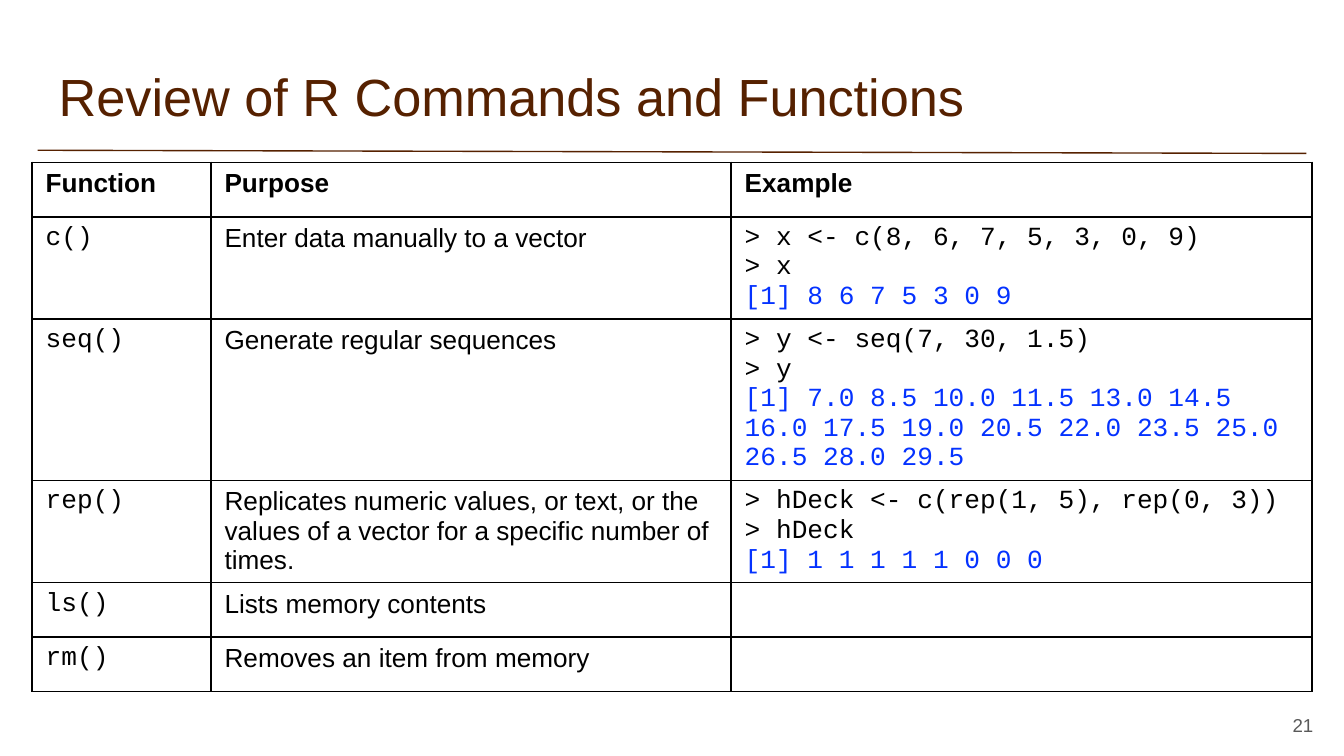
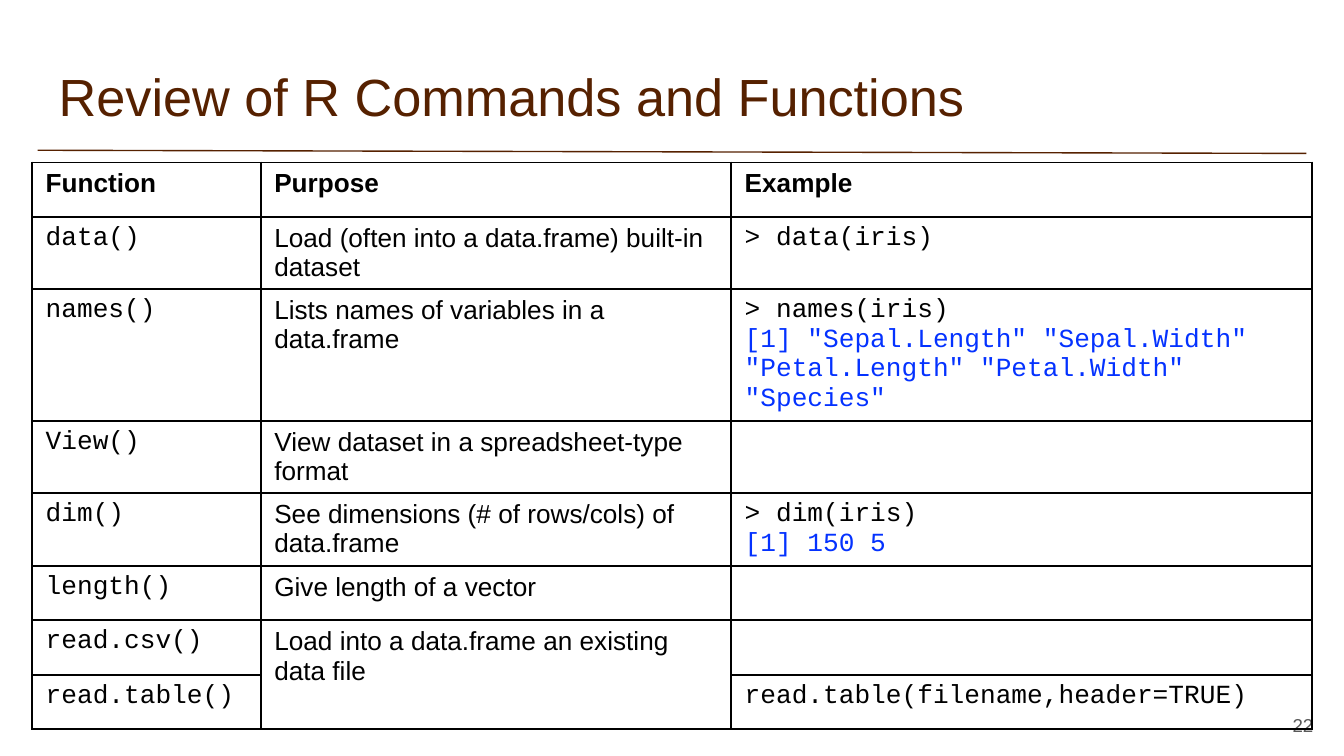
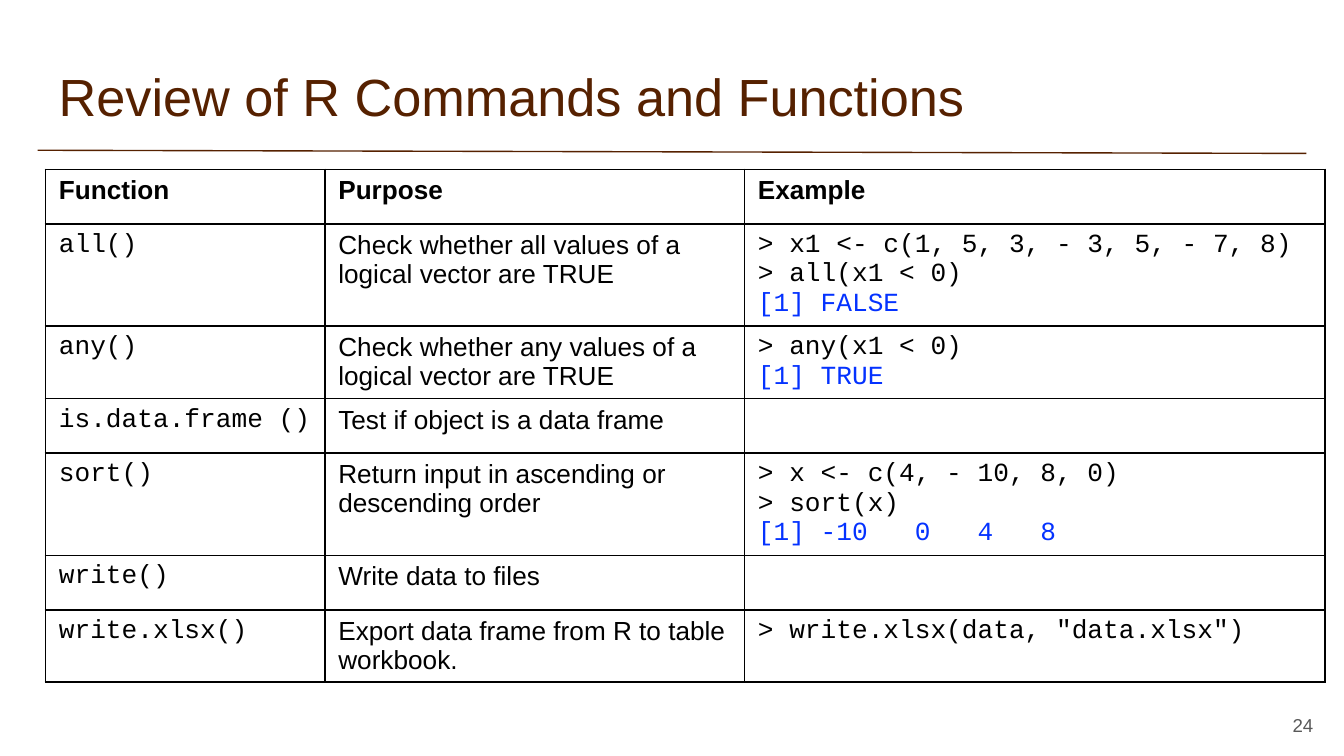
"""Build three slides that review R commands and functions in tables."""
from lxml import etree
from pptx import Presentation
from pptx import util as u
from pptx.dml import color
from pptx.enum import shapes, text
from pptx.oxml import ns

BROWN, GREY, BLACK, BLUE = "562100", "595959", "000000", "0432FF"
SANS, MONO = "Arial", "Courier New"
TITLE = "Review of R Commands and Functions"
HEADER = ("Function", "Purpose", "Example")
FUNCTION_AND_PURPOSE, EXAMPLE = 13.21, 10.97
ROW = 1.03
BORDER = ('<a:{} xmlns:a="{}" w="12700"><a:solidFill><a:srgbClr val="{}"/>'
          '</a:solidFill></a:{}>')

SLIDES = [
    dict(number="21", left=0.61, top=3.07, function_width=3.38, merge=None, rows=[
        ("c()", "Enter data manually to a vector",
         "> x <- c(8, 6, 7, 5, 3, 0, 9)\n> x\n[1] 8 6 7 5 3 0 9"),
        ("seq()", "Generate regular sequences",
         "> y <- seq(7, 30, 1.5)\n> y\n[1] 7.0 8.5 10.0 11.5 13.0 14.5 16.0 17.5 "
         "19.0 20.5 22.0 23.5 25.0 26.5 28.0 29.5"),
        ("rep()", "Replicates numeric values, or text, or the values of a vector "
                  "for a specific number of times.",
         "> hDeck <- c(rep(1, 5), rep(0, 3))\n> hDeck\n[1] 1 1 1 1 1 0 0 0"),
        ("ls()", "Lists memory contents", ""),
        ("rm()", "Removes an item from memory", ""),
    ]),
    dict(number="22", left=0.61, top=3.07, function_width=4.32, merge=(6, 7), rows=[
        ("data()", "Load (often into a data.frame) built-in dataset", "> data(iris)"),
        ("names()", "Lists names of variables in a data.frame",
         '> names(iris)\n[1] "Sepal.Length" "Sepal.Width" "Petal.Length" '
         '"Petal.Width" "Species"'),
        ("View()", "View dataset in a spreadsheet-type format", ""),
        ("dim()", "See dimensions (# of rows/cols) of data.frame",
         "> dim(iris)\n[1] 150 5"),
        ("length()", "Give length of a vector", ""),
        ("read.csv()", "Load into a data.frame an existing data file", ""),
        ("read.table()", "", "read.table(filename,header=TRUE)"),
    ]),
    dict(number="24", left=0.86, top=3.2, function_width=5.28, merge=None, rows=[
        ("all()", "Check whether all values of a logical vector are TRUE",
         "> x1 <- c(1, 5, 3, - 3, 5, - 7, 8)\n> all(x1 < 0)\n[1] FALSE"),
        ("any()", "Check whether any values of a logical vector are TRUE",
         "> any(x1 < 0)\n[1] TRUE"),
        ("is.data.frame ()", "Test if object is a data frame", ""),
        ("sort()", "Return input in ascending or descending order",
         "> x <- c(4, - 10, 8, 0)\n> sort(x)\n[1] -10   0   4   8"),
        ("write()", "Write data to files", ""),
        ("write.xlsx()", "Export data frame from R to table workbook.",
         '> write.xlsx(data, "data.xlsx")'),
    ]),
]


def paint(target, hex_color):
    """Give a font or line a solid colour."""
    target.fill.solid()
    target.fill.fore_color.rgb = color.RGBColor.from_string(hex_color)


def write(tf, content, hex_color, align=text.PP_ALIGN.LEFT, **font):
    """Fill a text frame, one paragraph a line, with R output in blue."""
    for i, line in enumerate(content.split("\n")):
        p = tf.add_paragraph() if i else tf.paragraphs[0]
        p.alignment = align
        r = p.add_run()
        r.text = line
        for key, value in font.items():
            setattr(r.font, key, value)
        paint(r.font, BLUE if line.startswith("[1]") else hex_color)


prs = Presentation()
prs.slide_width, prs.slide_height = u.Cm(25.4), u.Cm(14.29)

for page in SLIDES:
    s = prs.slides.add_slide(prs.slide_layouts[5])

    rule = s.shapes.add_connector(shapes.MSO_CONNECTOR.STRAIGHT,
                                  u.Cm(0.71), u.Cm(2.84), u.Cm(24.69), u.Cm(2.9))
    rule.line.width = u.Pt(0.75)
    paint(rule.line, BROWN)
    etree.SubElement(rule._element.spPr, ns.qn("a:effectLst"))

    title = s.shapes.title
    title.left, title.top, title.width, title.height = map(u.Cm, (0.86, 0.97, 23.67, 1.68))
    number = s.shapes.add_textbox(*map(u.Cm, (23.55, 13.16, 1.52, 1.09)))
    for sp in (title, number):
        frame = dict(word_wrap=True, auto_size=text.MSO_AUTO_SIZE.NONE,
                     vertical_anchor=text.MSO_ANCHOR.MIDDLE)
        for side in ("left", "top", "right", "bottom"):
            frame["margin_" + side] = u.Cm(0.25)
        for key, value in frame.items():
            setattr(sp.text_frame, key, value)
    write(title.text_frame, TITLE, BROWN, name=SANS, size=u.Pt(28))
    write(number.text_frame, page["number"], GREY, text.PP_ALIGN.RIGHT,
          name=SANS, size=u.Pt(10))

    rows = [HEADER] + page["rows"]
    widths = (page["function_width"], FUNCTION_AND_PURPOSE - page["function_width"], EXAMPLE)
    table = s.shapes.add_table(len(rows), len(widths), u.Cm(page["left"]), u.Cm(page["top"]),
                               u.Cm(sum(widths)), u.Cm(ROW * len(rows))).table
    table.first_row = table.horz_banding = False
    for column, width in zip(table.columns, widths):
        column.width = u.Cm(width)
    for i, row in enumerate(rows):
        table.rows[i].height = u.Cm(ROW)
        for j, content in enumerate(row):
            cell = table.cell(i, j)
            tcPr = cell._tc.get_or_add_tcPr()
            for side in ("lnL", "lnR", "lnT", "lnB"):
                tcPr.append(etree.fromstring(
                    BORDER.format(side, ns.namespaces("a")["a"], BLACK, side)))
            cell.fill.background()
            if content:
                write(cell.text_frame, content, BLACK, size=u.Pt(14), bold=i == 0,
                      name=SANS if i == 0 or j == 1 else MONO)
    if page["merge"]:
        first, last = page["merge"]
        table.cell(first, 1).merge(table.cell(last, 1))

prs.save("out.pptx")
